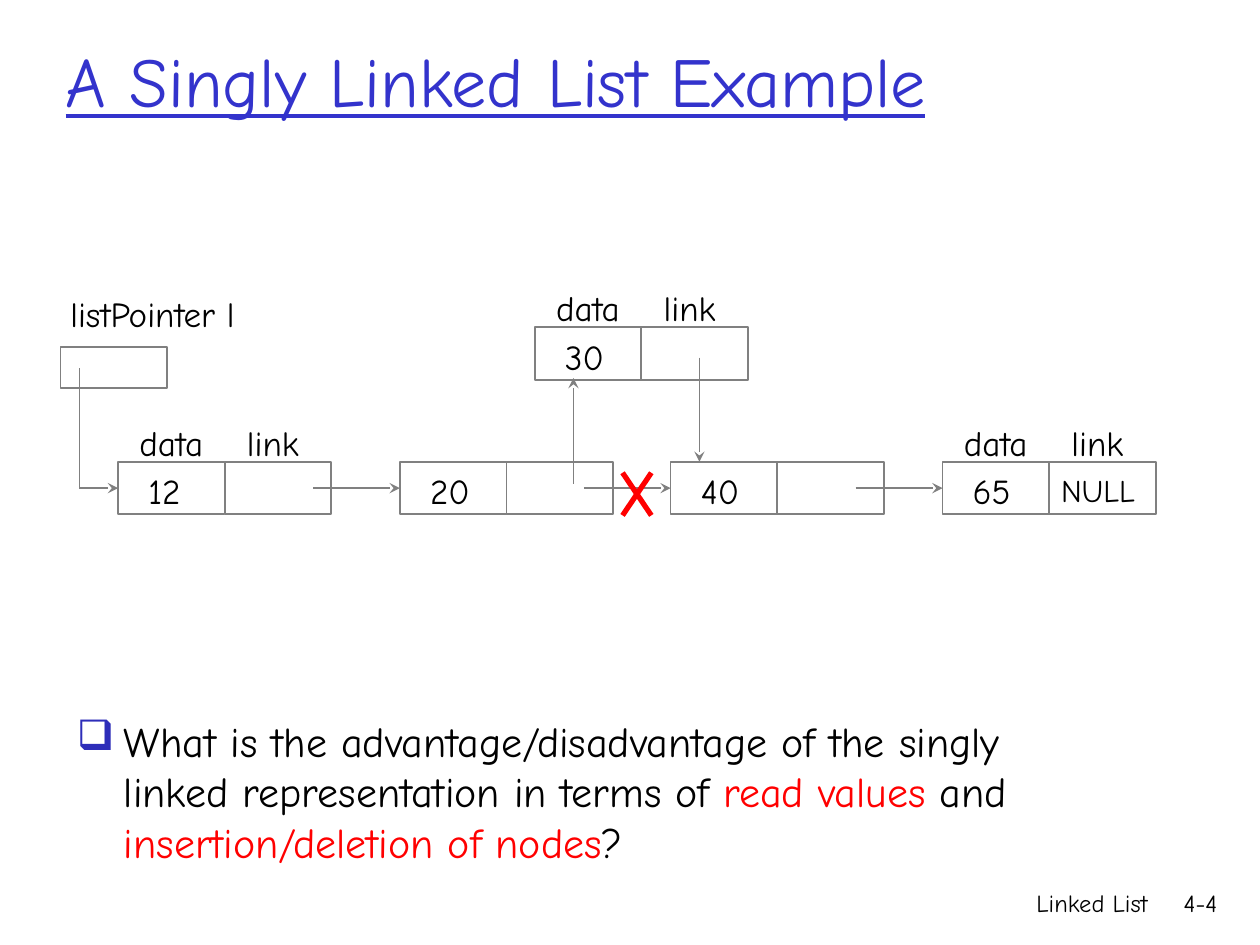
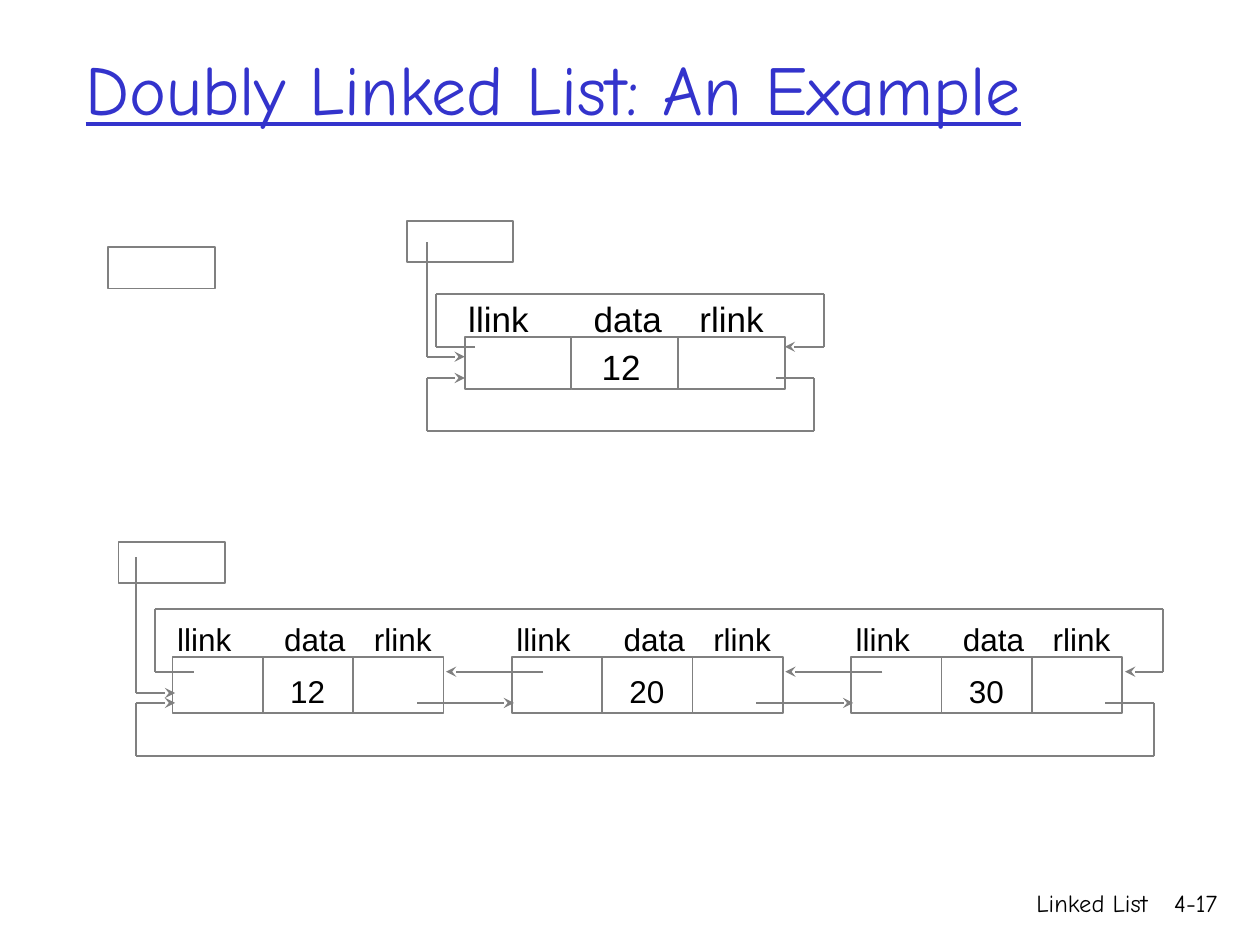
"""Build two slides about singly and doubly linked lists."""
import dataclasses
import itertools

import pptx
import pptx.dml.color
import pptx.enum.shapes
import pptx.enum.text
import pptx.oxml
import pptx.oxml.ns
import pptx.util

Cm = pptx.util.Cm
Pt = pptx.util.Pt
RGBColor = pptx.dml.color.RGBColor

BLACK = RGBColor(0x00, 0x00, 0x00)
TITLE_BLUE = RGBColor(0x33, 0x33, 0xCC)
BULLET_BLUE = RGBColor(0x2D, 0x2D, 0xB9)
GREY = RGBColor(0x80, 0x80, 0x80)
RED = RGBColor(0xFF, 0x00, 0x00)
HAND_FONT = "Comic Neue"
PLAIN_FONT = "Arial"
CELL_WIDTH, CELL_HEIGHT, POINTER_HEIGHT = 2.15, 1.06, 0.84


@dataclasses.dataclass
class NodeStyle:
    """Measures, in centimetres, and labels of one kind of list node."""
    labels: list
    label_widths: list
    label_shifts: list
    label_rise: float
    value_cell: int
    value_shift: tuple
    value_width: float
    cell_width: float = CELL_WIDTH
    cell_height: float = CELL_HEIGHT
    font: str = PLAIN_FONT
    size: int = 20


SINGLE_NODE = NodeStyle(["data", "link"], [2.01, 1.68], [0.18, 0.2], 0.94,
                        0, (0.36, 0.03), 1.4, font=HAND_FONT)
DOUBLE_NODE = NodeStyle(["llink", "data", "rlink"], [1.75, 1.9, 1.83], [-0.18, 0.2, 0.18], 0.92,
                        1, (0.36, 0.05), 1.3)
SMALL_DOUBLE_NODE = NodeStyle(["llink", "data", "rlink"], [1.63, 1.75, 1.68], [-0.16, 0.18, 0.17],
                              0.86, 1, (0.3, 0.18), 1.22, 1.82, 1.14, size=18)


class Deck:
    """Hold the presentation style and draw on the current slide."""

    def __init__(self):
        self.presentation = pptx.Presentation()
        self.presentation.slide_width = Cm(25.4)
        self.presentation.slide_height = Cm(19.05)

    def start_slide(self, title, number, left, top, width, height):
        self.slide = self.presentation.slides.add_slide(self.presentation.slide_layouts[5])
        self.canvas = self.slide.shapes
        shape = self.slide.shapes.title
        shape.left, shape.top, shape.width, shape.height = Cm(left), Cm(top), Cm(width), Cm(height)
        frame = shape.text_frame
        frame.text = title
        frame.auto_size = pptx.enum.text.MSO_AUTO_SIZE.NONE
        frame.vertical_anchor = pptx.enum.text.MSO_ANCHOR.MIDDLE
        paragraph = frame.paragraphs[0]
        paragraph.alignment = pptx.enum.text.PP_ALIGN.LEFT
        self.format_run(paragraph.runs[0], 40, color=TITLE_BLUE)
        paragraph.runs[0].font.underline = True
        for text, footer_left, footer_width in (("Linked List", 15.34, 8.05), (number, 23.06, 1.73)):
            footer = self.text(text, footer_left, 17.78, footer_width, 1.27, 14, wrap=True)
            footer.text_frame.paragraphs[0].alignment = pptx.enum.text.PP_ALIGN.RIGHT

    def format_run(self, run, size, font=HAND_FONT, color=BLACK):
        run.font.size = Pt(size)
        run.font.name = font
        run.font.color.rgb = color

    def text(self, text, left, top, width, height=1.11, size=20, font=HAND_FONT, wrap=False):
        shape = self.canvas.add_textbox(Cm(left), Cm(top), Cm(width), Cm(height))
        frame = shape.text_frame
        frame.text = text
        frame.word_wrap = wrap
        if not wrap:
            frame.auto_size = pptx.enum.text.MSO_AUTO_SIZE.SHAPE_TO_FIT_TEXT
        self.format_run(frame.paragraphs[0].runs[0], size, font)
        return shape

    def bullet(self, parts, left, top, width, height):
        shape = self.slide.shapes.add_textbox(Cm(left), Cm(top), Cm(width), Cm(height))
        shape.text_frame.word_wrap = True
        paragraph = shape.text_frame.paragraphs[0]
        for text, color in parts:
            run = paragraph.add_run()
            run.text = text
            self.format_run(run, 24, color=color)
        properties = paragraph._p.get_or_add_pPr()
        properties.set("marL", str(Cm(0.95)))
        properties.set("indent", str(-Cm(0.95)))
        namespace = pptx.oxml.ns.nsdecls("a")
        properties.append(pptx.oxml.parse_xml(
            f'<a:buClr {namespace}><a:srgbClr val="{BULLET_BLUE}"/></a:buClr>'))
        properties.append(pptx.oxml.parse_xml(f'<a:buChar {namespace} char="❑"/>'))

    def box(self, left, top, width=CELL_WIDTH, height=POINTER_HEIGHT):
        shape = self.canvas.add_shape(pptx.enum.shapes.MSO_SHAPE.RECTANGLE,
                                      Cm(left), Cm(top), Cm(width), Cm(height))
        shape.shadow.inherit = False
        shape.fill.background()
        shape.line.color.rgb = GREY
        shape.line.width = Pt(1)
        return shape

    def node(self, style, value, left, top, labelled=True):
        self.canvas = self.slide.shapes.add_group_shape().shapes
        lefts = [left + index * style.cell_width for index in range(len(style.labels))]
        cells = [self.box(cell_left, top, style.cell_width, style.cell_height)
                 for cell_left in lefts]
        text_height = 1.11 if style.size == 20 else 1.01
        shift_x, shift_y = style.value_shift
        self.text(value, lefts[style.value_cell] + shift_x, top + shift_y,
                  style.value_width, text_height, style.size, style.font)
        if labelled:
            for label, cell_left, shift, width in zip(
                    style.labels, lefts, style.label_shifts, style.label_widths):
                self.text(label, cell_left + shift, top - style.label_rise,
                          width, text_height, style.size, style.font)
        self.canvas = self.slide.shapes
        return cells

    def wire(self, *points, arrow=True, color=GREY, width=1, target=None):
        for (start_x, start_y), (end_x, end_y) in itertools.pairwise(points):
            connector = self.canvas.add_connector(
                pptx.enum.shapes.MSO_CONNECTOR.STRAIGHT,
                Cm(start_x), Cm(start_y), Cm(end_x), Cm(end_y))
            connector.line.color.rgb = color
            connector.line.width = Pt(width)
            namespace = pptx.oxml.ns.nsdecls("a")
            connector._element.spPr.append(pptx.oxml.parse_xml(f"<a:effectLst {namespace}/>"))
        if arrow:
            connector.line._get_or_add_ln().append(
                pptx.oxml.parse_xml(f'<a:tailEnd {namespace} type="stealth"/>'))
        if target is not None:
            connector.end_connect(target, 1)


def draw_singly_linked_list(deck):
    deck.start_slide("A Singly Linked List Example", "4-4", 1.07, 0.91, 23.44, 1.37)
    deck.bullet([
        ("What is the advantage/disadvantage of the singly linked representation in terms of ", BLACK),
        ("read values", RED), (" and ", BLACK),
        ("insertion/deletion of nodes", RED), ("?", BLACK)], 1.3, 14.3, 21.26, 3.33)

    row_top = 9.31
    middle = row_top + CELL_HEIGHT / 2
    row = [("12", 2.38, True), ("20", 8.06, False), ("40", 13.52, False), ("65", 19, True)]
    first_cells = [deck.node(SINGLE_NODE, value, left, row_top, labelled)[0]
                   for value, left, labelled in row]
    for (value, left, labelled), cell in zip(row[1:], first_cells[1:]):
        deck.wire((left - 1.75, middle), (left, middle), target=cell)
    deck.text("NULL", 21.14, 9.37, 2.21, 1.01, 18)

    deck.text("listPointer l", 1.17, 5.77, 4.39)
    deck.box(1.22, 6.99)
    deck.wire((1.6, 7.42), (1.6, middle), (2.38, middle), target=first_cells[0])

    deck.node(SINGLE_NODE, "30", 10.78, 6.6)
    deck.wire((11.56, 9.75), (11.56, 7.62))
    deck.wire((14.1, 7.21), (14.1, row_top))
    for start_x, end_x in ((12.55, 13.13), (13.13, 12.55)):
        deck.wire((start_x, 9.53), (end_x, 10.39), arrow=False, color=RED, width=3)


def draw_doubly_linked_list(deck):
    deck.start_slide("Doubly Linked List: An Example", "4-17", 1.47, 0.64, 21.59, 2.24)
    deck.box(2.18, 4.98)

    deck.box(8.2, 4.45)
    deck.node(DOUBLE_NODE, "12", 9.37, 6.79)
    deck.wire((8.61, 4.88), (8.61, 7.19), (9.37, 7.19))
    deck.wire((9.58, 6.99), (8.79, 6.99), (8.79, 5.92), (16.61, 5.92), (16.61, 6.99), (15.82, 6.99))
    deck.wire((15.65, 7.62), (16.41, 7.62), (16.41, 8.69), (8.61, 8.69), (8.61, 7.62), (9.37, 7.62))

    deck.box(2.39, 10.92)
    left_link_y, right_link_y = 13.54, 14.17
    lefts = [3.48 + index * 6.84 for index in range(3)]
    for value, left in zip(("12", "20", "30"), lefts):
        deck.node(SMALL_DOUBLE_NODE, value, left, 13.24)
    for left in lefts[:-1]:
        deck.wire((left + 4.93, right_link_y), (left + 6.88, right_link_y))
        deck.wire((left + 7.47, left_link_y), (left + 5.51, left_link_y))
    deck.wire((2.74, 11.23), (2.74, 13.97), (3.53, 13.97))
    deck.wire((3.91, left_link_y), (3.12, left_link_y), (3.12, 12.27),
              (23.44, 12.27), (23.44, left_link_y), (22.68, left_link_y))
    deck.wire((22.28, right_link_y), (23.27, right_link_y), (23.27, 15.24),
              (2.74, 15.24), (2.74, right_link_y), (3.53, right_link_y))


def main():
    deck = Deck()
    draw_singly_linked_list(deck)
    draw_doubly_linked_list(deck)
    deck.presentation.save("out.pptx")


if __name__ == "__main__":
    main()
